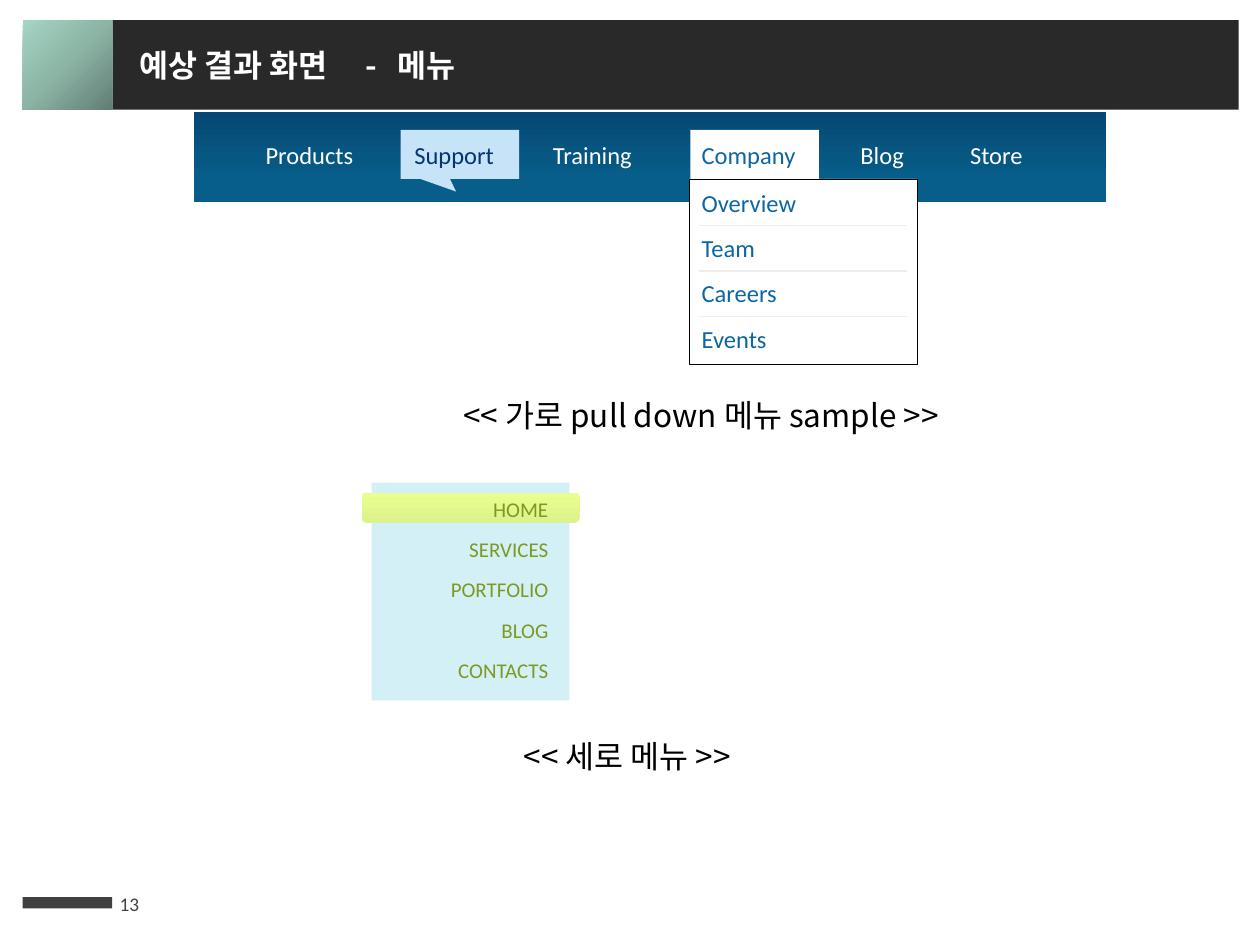
from lxml import etree
from pptx import Presentation
from pptx.dml.color import RGBColor
from pptx.enum.shapes import MSO_CONNECTOR, MSO_SHAPE as SHAPE
from pptx.enum.text import MSO_ANCHOR, MSO_AUTO_SIZE, PP_ALIGN
from pptx.oxml import parse_xml
from pptx.oxml.ns import nsdecls, qn
from pptx.util import Inches, Pt

TITLE = "예상 결과 화면\t-\t메뉴"
TITLE_TABS = (1.79, 2.05)
CAPTIONS = [
    ("<< 가로 pull down 메뉴 sample >>", (3.58, 3.09, 4.57, 0.4)),
    ("<< 세로 메뉴 >>", (4.06, 5.8, 2.28, 0.4)),
]
NAV = [
    ("Products", 2.01, 1.34, "FFFFFF"),
    ("Support", 3.19, 1.34, "043472"),
    ("Training", 4.29, 1.34, "FFFFFF"),
    ("Company", 5.47, 1.02, "0D66A3"),
    ("Blog", 6.73, 0.79, "FFFFFF"),
    ("Store", 7.6, 0.79, "FFFFFF"),
]
COMPANY_ITEMS = ["Overview", "Team", "Careers", "Events"]
SIDE_ITEMS = ["HOME", "SERVICES", "PORTFOLIO", "BLOG", "CONTACTS"]

CORNER = [(0, "627E74"), (50, "8BB4A5"), (100, "A5D5C4")]
NAV_BLUE = [(27, "085E8A"), (49, "075783"), (100, "064873")]
LIME = [(0, "DCF38B"), (100, "E8FE90")]
UPWARD = '<a:lin ang="16200000" scaled="0"/>'
RADIAL = '<a:path path="circle"><a:fillToRect l="100000" t="100000"/></a:path>'
LATIN, KOREAN = "Calibri", "Noto Sans CJK KR"


def rgb(color):
    """Turn a hex string into a colour."""
    return RGBColor.from_string(color)


def add_box(s, at, fill=None, kind=SHAPE.RECTANGLE, line=None):
    """Add a flat shape with an optional solid fill and thin outline."""
    sp = s.shapes.add_shape(kind, *map(Inches, at))
    sp.shadow.inherit = False
    if fill:
        sp.fill.solid()
        sp.fill.fore_color.rgb = rgb(fill)
    if line:
        sp.line.color.rgb = rgb(line)
        sp.line.width = Pt(0.25)
    else:
        sp.line.fill.background()
    return sp


def add_gradient(s, at, stops, direction, kind=SHAPE.RECTANGLE):
    """Add a shape filled with a gradient."""
    sp = add_box(s, at, kind=kind)
    sp.fill.background()
    stop_xml = "".join(
        f'<a:gs pos="{pos * 1000}"><a:srgbClr val="{color}"/></a:gs>'
        for pos, color in stops)
    grad = parse_xml(f'<a:gradFill {nsdecls("a")} rotWithShape="1">'
                     f'<a:gsLst>{stop_xml}</a:gsLst>{direction}</a:gradFill>')
    props = sp.element.spPr
    props.replace(props.find(qn("a:noFill")), grad)
    return sp


def add_text(s, text, at, color, size=14, name=LATIN, bold=False,
             align=PP_ALIGN.LEFT, anchor=MSO_ANCHOR.TOP, tabs=()):
    """Add a one-line text box."""
    tf = s.shapes.add_textbox(*map(Inches, at)).text_frame
    frame = {"word_wrap": True, "vertical_anchor": anchor,
             "auto_size": MSO_AUTO_SIZE.NONE if anchor == MSO_ANCHOR.MIDDLE
             else MSO_AUTO_SIZE.SHAPE_TO_FIT_TEXT}
    for key, value in frame.items():
        setattr(tf, key, value)
    p = tf.paragraphs[0]
    p.alignment = align
    if tabs:
        tab_list = etree.SubElement(p._p.get_or_add_pPr(), qn("a:tabLst"))
        for pos in tabs:
            etree.SubElement(tab_list, qn("a:tab"), pos=str(Inches(pos)), algn="l")
    r = p.add_run()
    r.text = text
    for key, value in {"size": Pt(size), "name": name, "bold": bold}.items():
        setattr(r.font, key, value)
    r.font.color.rgb = rgb(color)
    etree.SubElement(r._r.get_or_add_rPr(), qn("a:ea"), typeface=name)


def add_divider(s, x1, x2, y):
    """Add a thin grey horizontal line."""
    line = s.shapes.add_connector(MSO_CONNECTOR.STRAIGHT, *map(Inches, (x1, y, x2, y)))
    line.line.color.rgb = rgb("EDEDED")
    line.line.width = Pt(0.75)
    etree.SubElement(line.element.spPr, qn("a:effectLst"))


def add_frame(s):
    """Add the title band and the page number."""
    add_box(s, (0.89, 0.16, 8.94, 0.71), "292929")
    add_gradient(s, (0.18, 0.16, 0.71, 0.71), CORNER, RADIAL)
    add_box(s, (0.18, 7.12, 0.71, 0.09), "404040")
    add_text(s, "13", (0.85, 6.97, 0.59, 0.4), "404040", 11, anchor=MSO_ANCHOR.MIDDLE)
    add_text(s, TITLE, (1.01, 0.32, 6.99, 0.4), "FFFFFF", 18, KOREAN, True,
             tabs=TITLE_TABS)


def add_pull_down_menu(s):
    """Add the horizontal menu with its open list."""
    add_gradient(s, (1.54, 0.89, 7.24, 0.71), NAV_BLUE, UPWARD)
    callout = add_box(s, (3.18, 1.03, 0.94, 0.39), "C6E3F7", SHAPE.RECTANGULAR_CALLOUT)
    callout.adjustments[0], callout.adjustments[1] = -0.032, 0.757
    add_box(s, (5.47, 1.42, 1.81, 1.47), "FFFFFF", line="000000")
    add_box(s, (5.48, 1.03, 1.02, 0.39), "FFFFFF")
    for label, x, w, color in NAV:
        add_text(s, label, (x, 1.06, w, 0.34), color)
    for i, label in enumerate(COMPANY_ITEMS):
        y = 1.44 + 0.36 * i
        add_text(s, label, (5.47, y, 1.42, 0.34), "0D66A3")
        if i:
            add_divider(s, 5.55, 7.2, y - 0.01)


def add_side_menu(s):
    """Add the vertical menu with its first item marked."""
    add_box(s, (2.95, 3.83, 1.57, 1.73), "D4F0F7")
    add_gradient(s, (2.87, 3.91, 1.73, 0.24), LIME, UPWARD, SHAPE.ROUNDED_RECTANGLE)
    for i, label in enumerate(SIDE_ITEMS):
        add_text(s, label, (3.03, 3.89 + 0.32 * i, 1.42, 0.3), "7D9920", 12,
                 align=PP_ALIGN.RIGHT)


def main():
    """Build the slide and save it."""
    prs = Presentation()
    prs.slide_width, prs.slide_height = Inches(10), Inches(7.5)
    s = prs.slides.add_slide(prs.slide_layouts[6])
    add_frame(s)
    add_pull_down_menu(s)
    add_side_menu(s)
    for text, at in CAPTIONS:
        add_text(s, text, at, "000000", 18, KOREAN)
    prs.save("out.pptx")


if __name__ == "__main__":
    main()
